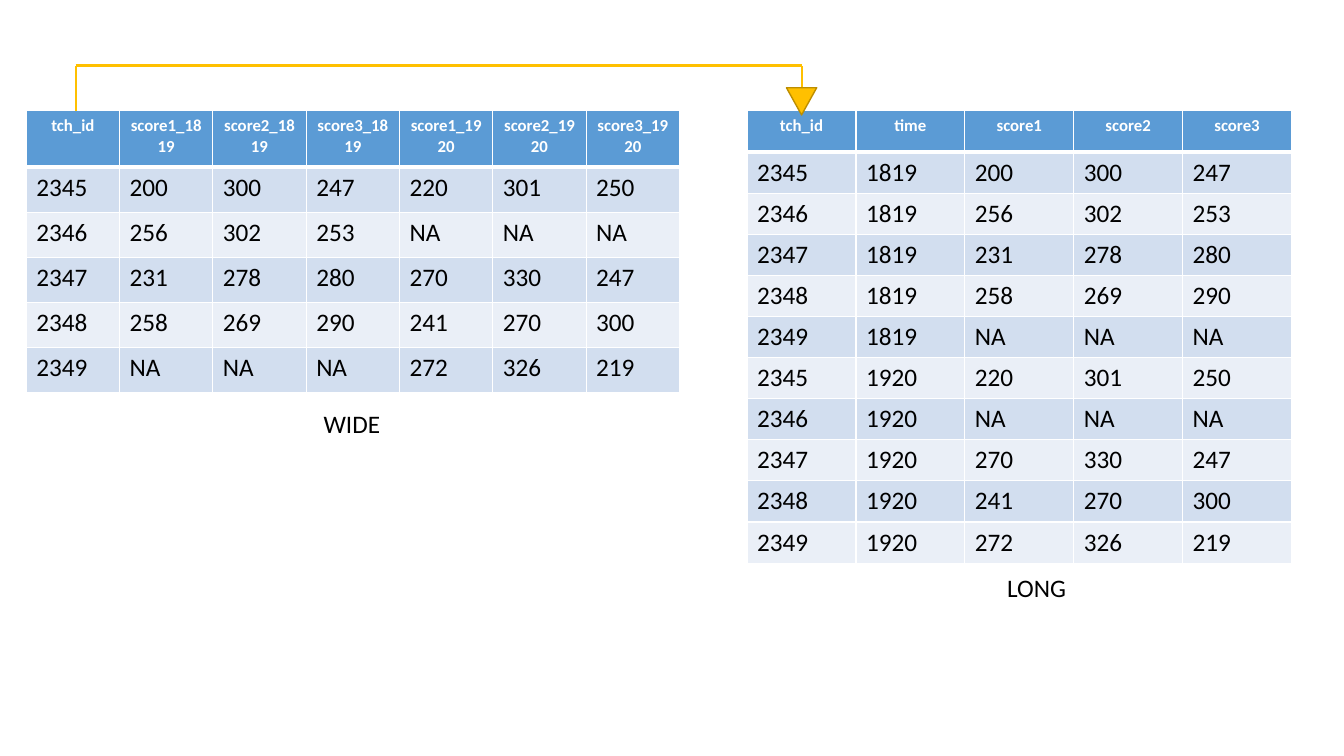
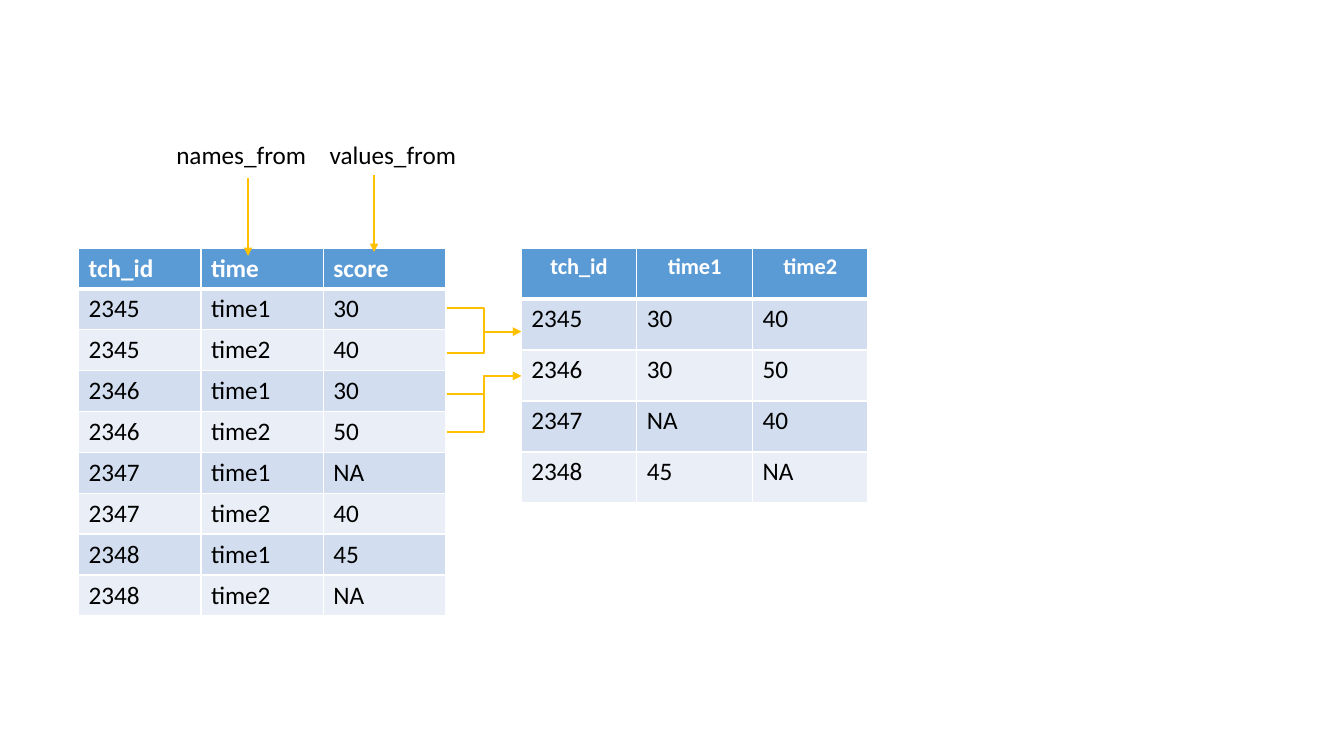
from dataclasses import dataclass

from lxml.etree import SubElement
from pptx import Presentation
from pptx.dml.color import RGBColor
from pptx.enum.shapes import MSO_CONNECTOR, MSO_SHAPE
from pptx.enum.text import MSO_AUTO_SIZE, PP_ALIGN
from pptx.oxml.ns import qn
from pptx.util import Inches, Pt


@dataclass(frozen=True)
class Theme:
    """Colours, font and sizes shared by all slides."""
    font: str = "Calibri"
    white: str = "FFFFFF"
    ink: str = "000000"
    head: str = "5B9BD5"
    bands: tuple = ("D2DEEF", "EAEFF7")
    gold: str = "FFC000"
    edge: str = "BD8E00"
    body: int = 18
    mid: int = 16
    small: int = 12
    thin: float = 1
    line: float = 1.5
    thick: float = 3


def color(code):
    """Turn a hex code into a colour."""
    return RGBColor.from_string(code)


def put(frame, text, *, font, size, ink, bold=False, align=PP_ALIGN.LEFT):
    """Write one formatted line of text into a frame."""
    line = frame.paragraphs[0]
    line.alignment = align
    run = line.add_run()
    run.text = text
    run.font.name = font
    run.font.size = Pt(size)
    run.font.bold = bold
    run.font.color.rgb = color(ink)


class Deck:
    """Hold the style and the current slide."""

    def __init__(self, theme):
        """Start an empty wide deck."""
        self.theme = theme
        self.show = Presentation()
        self.show.slide_width = Inches(13.33)
        self.show.slide_height = Inches(7.5)
        self.slide = None

    def page(self):
        """Open a new blank slide."""
        self.slide = self.show.slides.add_slide(self.show.slide_layouts[6])

    def label(self, text, left, top, width, align=PP_ALIGN.LEFT):
        """Add a line of plain text."""
        box = self.slide.shapes.add_textbox(
            Inches(left), Inches(top), Inches(width), Inches(0.4))
        box.text_frame.word_wrap = True
        box.text_frame.auto_size = MSO_AUTO_SIZE.SHAPE_TO_FIT_TEXT
        put(box.text_frame, text, font=self.theme.font,
            size=self.theme.body, ink=self.theme.ink, align=align)

    def border(self, node, row):
        """Draw white cell borders, thick below the header."""
        heavy = {(0, "B"), (1, "T")}
        props = node.get_or_add_tcPr()
        for side in "LRTB":
            width = self.theme.thick if (row, side) in heavy else self.theme.thin
            rule = SubElement(props, qn("a:ln" + side), w=str(Pt(width)))
            fill = SubElement(rule, qn("a:solidFill"))
            SubElement(fill, qn("a:srgbClr"), val=self.theme.white)

    def table(self, rows, left, top, width, height, *, size,
              first=None, align=PP_ALIGN.CENTER):
        """Add a banded table, with a header of its own height if given."""
        theme = self.theme
        wide = len(rows[0])
        shape = self.slide.shapes.add_table(
            len(rows), wide, Inches(left), Inches(top),
            Inches(width), Inches(height))
        grid = shape.table
        first = first or height / len(rows)
        rest = (height - first) / (len(rows) - 1)
        for col in grid.columns:
            col.width = Inches(width / wide)
        for i, row in enumerate(grid.rows):
            row.height = Inches(rest if i else first)
        nodes = shape.element.iter(qn("a:tc"))
        for i, (cell, node) in enumerate(zip(grid.iter_cells(), nodes)):
            row, col = divmod(i, wide)
            self.border(node, row)
            cell.fill.solid()
            cell.fill.fore_color.rgb = color(
                theme.bands[(row - 1) % 2] if row else theme.head)
            look = (dict(size=theme.body, ink=theme.ink) if row else
                    dict(size=size, ink=theme.white, bold=True, align=align))
            put(cell.text_frame, rows[row][col], font=theme.font, **look)

    def link(self, start, end, *, kind=MSO_CONNECTOR.STRAIGHT, arrow=False):
        """Add a gold line between two points."""
        wire = self.slide.shapes.add_connector(
            kind, *(Inches(n) for n in (*start, *end)))
        wire.line.color.rgb = color(self.theme.gold)
        wire.line.width = Pt(self.theme.line)
        props = wire.element.spPr
        if arrow:
            SubElement(props.find(qn("a:ln")), qn("a:tailEnd"), type="triangle")
        SubElement(props, qn("a:effectLst"))

    def point(self, left, top, width, height):
        """Add a gold triangle that points down."""
        shape = self.slide.shapes.add_shape(
            MSO_SHAPE.ISOSCELES_TRIANGLE, Inches(left), Inches(top),
            Inches(width), Inches(height))
        shape.rotation = 180
        shape.shadow.inherit = False
        shape.fill.solid()
        shape.fill.fore_color.rgb = color(self.theme.gold)
        shape.line.color.rgb = color(self.theme.edge)
        shape.line.width = Pt(self.theme.thin)


def reshape(deck):
    """Show wide scores turned into long ones."""
    years = ("1819", "1920")
    tests = ("score1", "score2", "score3")
    wide = [line.split() for line in (
        "2345 200 300 247 220 301 250",
        "2346 256 302 253 NA NA NA",
        "2347 231 278 280 270 330 247",
        "2348 258 269 290 241 270 300",
        "2349 NA NA NA 272 326 219")]
    names = [f"{test}_{year}" for year in years for test in tests]
    long = [[row[0], year, *row[1 + 3 * i:4 + 3 * i]]
            for i, year in enumerate(years) for row in wide]
    top, bar, left, right = 1.1, 0.65, 0.75, 7.95
    small = deck.theme.small

    deck.page()
    deck.table([["tch_id", *names], *wide], 0.26, top, 6.48, 2.8,
               size=small, first=0.56)
    deck.table([["tch_id", "time", *tests], *long], 7.41, top, 5.4, 4.49,
               size=small)
    deck.label("WIDE", 2.13, 4, 2.72, PP_ALIGN.CENTER)
    deck.label("LONG", 8.92, 5.63, 2.72, PP_ALIGN.CENTER)
    for x in (left, right):
        deck.link((x, top), (x, bar))
    deck.link((left, bar), (right, bar))
    deck.point(right - 0.15, 0.87, 0.3, 0.27)


def pivot(deck):
    """Show long scores turned into wide ones."""
    times = ("time1", "time2")
    wide = [line.split() for line in (
        "2345 30 40", "2346 30 50", "2347 NA 40", "2348 45 NA")]
    long = [[row[0], time, score]
            for row in wide for time, score in zip(times, row[1:])]
    top = 2.46

    deck.page()
    deck.table([["tch_id", "time", "score"], *long], 0.78, top, 3.64, 3.63,
               size=deck.theme.body, align=PP_ALIGN.LEFT)
    for text, left, x, start, end in (
            ("names_from", 1.65, 2.46, 1.77, 2.54),
            ("values_from", 3.17, 3.71, 1.74, 2.5)):
        deck.link((x, start), (x, end), arrow=True)
        deck.label(text, left, 1.33, 1.52)
    deck.table([["tch_id", *times], *wide], 5.17, top, 3.44, 2.53,
               size=deck.theme.mid)
    for start, end in ((3.06, 3.29), (3.5, 3.29), (3.91, 3.73), (4.29, 3.73)):
        deck.link((4.43, start), (5.17, end),
                  kind=MSO_CONNECTOR.ELBOW, arrow=True)


def main():
    """Build and save the deck."""
    deck = Deck(Theme())
    reshape(deck)
    pivot(deck)
    deck.show.save("out.pptx")


if __name__ == "__main__":
    main()
